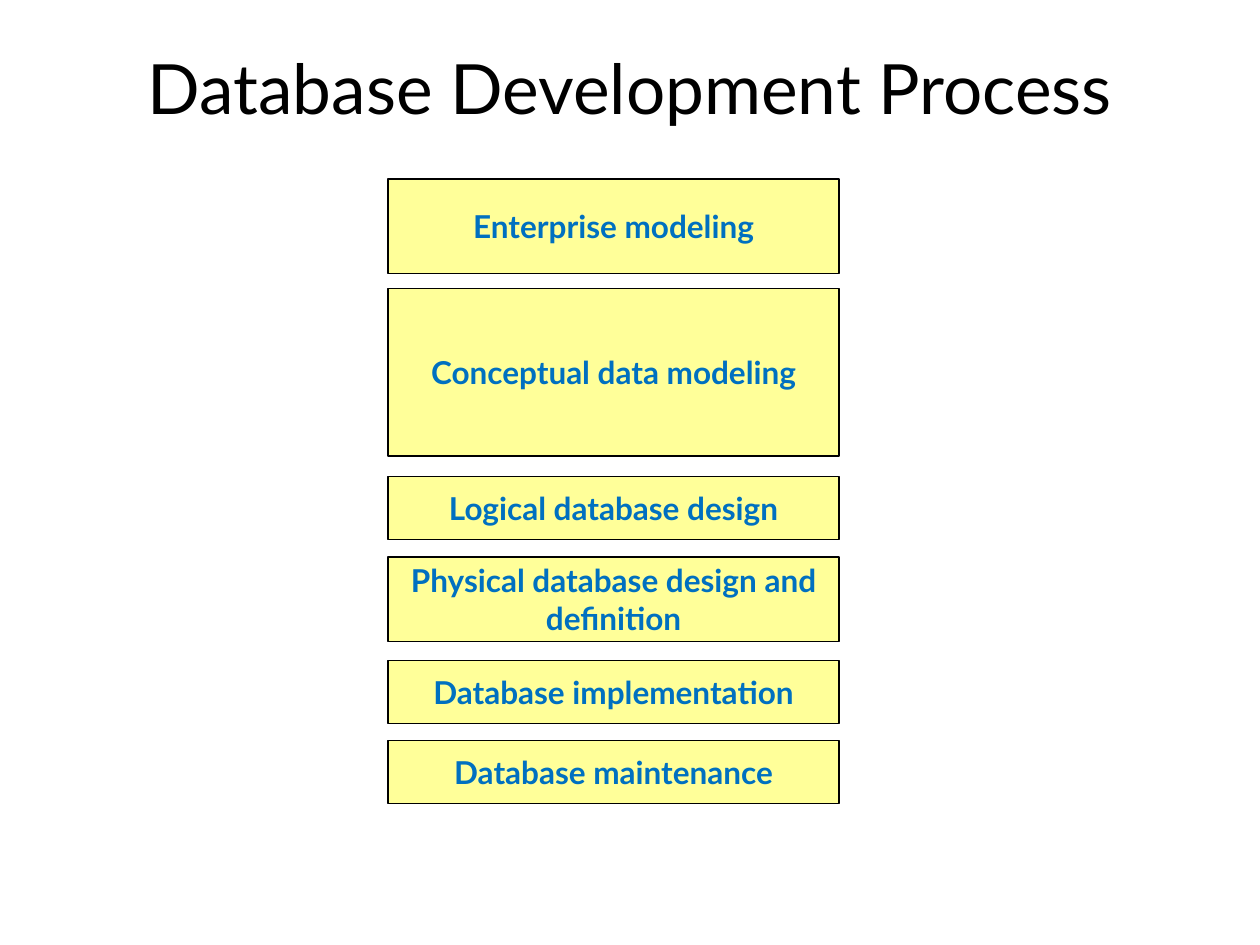
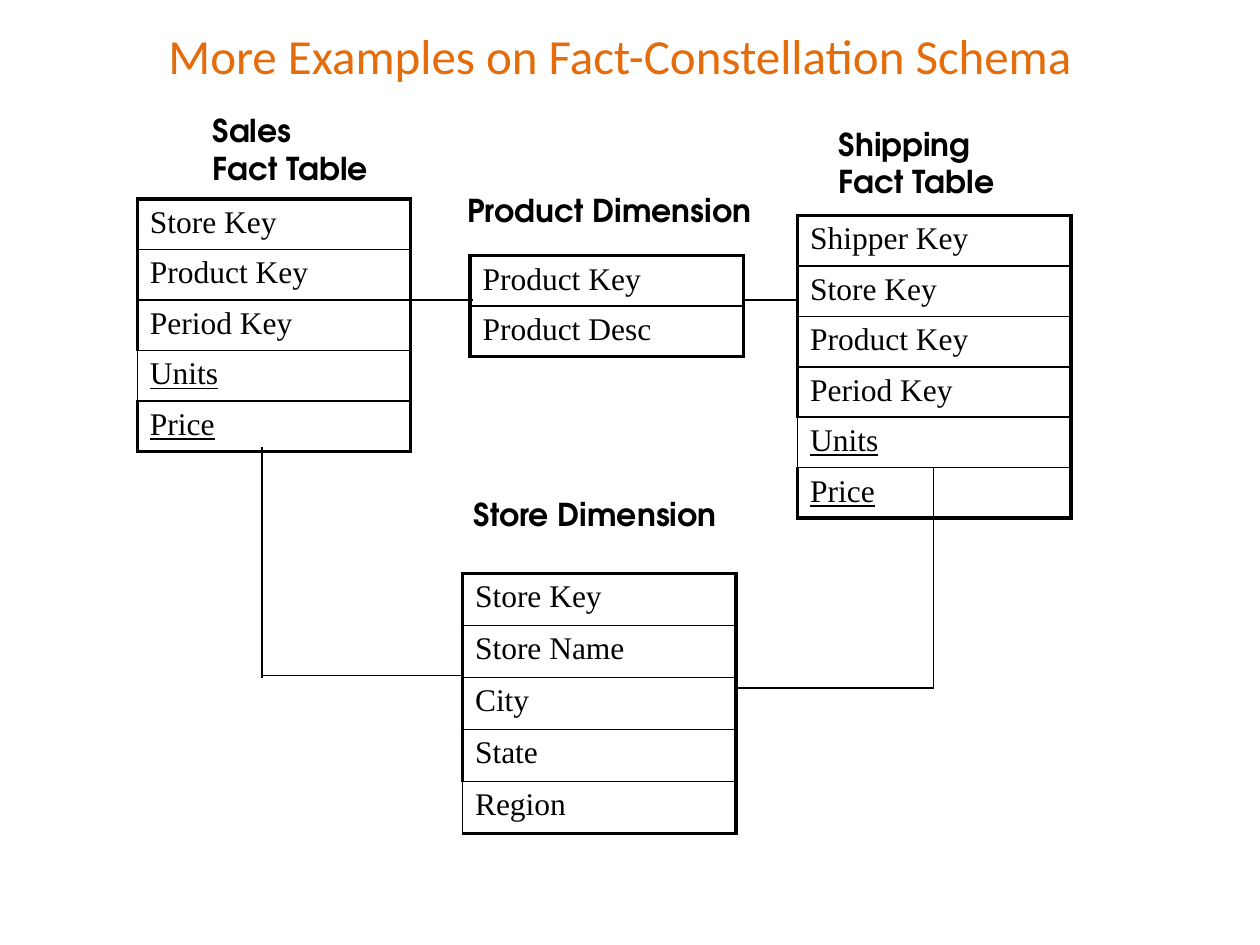
import pptx
import pptx.dml.color
import pptx.enum.shapes
import pptx.enum.text
import pptx.oxml
import pptx.oxml.ns
import pptx.util

Inches, Pt = pptx.util.Inches, pptx.util.Pt
RGBColor = pptx.dml.color.RGBColor
ALIGN = pptx.enum.text.PP_ALIGN
ANCHOR = pptx.enum.text.MSO_ANCHOR

BLACK = RGBColor(0x00, 0x00, 0x00)
YELLOW = RGBColor(0xFF, 0xFF, 0x99)
BLUE = RGBColor(0x00, 0x70, 0xC0)
ORANGE = RGBColor(0xE4, 0x6C, 0x0A)

THICK, THIN = 2.25, 1
TABLE_W = 2.17
STEP_X, STEP_W = 3.08, 3.58

STEPS = [  # text, top, height
    ("Enterprise modeling", 1.42, 0.75),
    ("Conceptual data modeling", 2.29, 1.33),
    ("Logical database design", 3.78, 0.5),
    ("Physical database design and definition", 4.42, 0.67),
    ("Database implementation", 5.24, 0.5),
    ("Database maintenance", 5.88, 0.5),
]
MEASURES = ("Units", "Price")
THIN_LEFT = ("Units", "Region")
KEYS = ["Store Key", "Product Key", "Period Key"]
TABLES = [  # left, top, row height, fields
    (1.09, 1.58, 0.383, [*KEYS, *MEASURES]),
    (3.67, 4.55, 0.413, ["Store Key", "Store Name", "City", "State", "Region"]),
    (3.73, 2.03, 0.4, ["Product Key", "Product Desc"]),
    (6.33, 1.71, 0.4, ["Shipper Key", *KEYS, *MEASURES]),
]
LABELS = [  # lines, left, top, width, height
    (["Store Dimension"], 3.66, 3.88, 2.26, 0.4),
    (["Product Dimension"], 3.61, 1.47, 2.46, 0.4),
    (["Sales", "Fact Table"], 1.59, 0.83, 1.44, 0.7),
    (["Shipping", "Fact Table"], 6.56, 0.94, 1.44, 0.7),
]
LINKS = [  # x1, y1, x2, y2
    (3.25, 2.38, 3.75, 2.38),
    (5.91, 2.38, 6.33, 2.38),
    (5.83, 5.46, 7.41, 5.46),
    (7.41, 3.71, 7.41, 5.46),
    (2.08, 3.55, 2.08, 5.38),
    (2.08, 5.36, 3.66, 5.36),
]


def add_run(p, text, font, size, color, bold=False, underline=False):
    r = p.add_run()
    r.text = text
    r.font.name, r.font.size = font, Pt(size)
    r.font.color.rgb = color
    r.font.bold, r.font.underline = bold, underline


def add_title(s, text, box, font, size, color):
    tf = s.shapes.add_textbox(*map(Inches, box)).text_frame
    tf.word_wrap = True
    tf.vertical_anchor = ANCHOR.MIDDLE
    p = tf.paragraphs[0]
    p.alignment = ALIGN.CENTER
    add_run(p, text, font, size, color)


def add_step(s, text, top, height):
    sp = s.shapes.add_shape(
        pptx.enum.shapes.MSO_SHAPE.RECTANGLE,
        Inches(STEP_X), Inches(top), Inches(STEP_W), Inches(height))
    sp.shadow.inherit = False
    sp.fill.solid()
    sp.fill.fore_color.rgb = YELLOW
    sp.line.color.rgb = BLACK
    sp.line.width = Pt(0.75)
    tf = sp.text_frame
    tf.word_wrap = True
    tf.vertical_anchor = ANCHOR.MIDDLE
    p = tf.paragraphs[0]
    p.alignment = ALIGN.CENTER
    add_run(p, text, "Lato", 18, BLUE, bold=True)


def add_label(s, lines, *box):
    tf = s.shapes.add_textbox(*map(Inches, box)).text_frame
    tf.word_wrap = len(lines) == 1
    for i, line in enumerate(lines):
        p = tf.add_paragraph() if i else tf.paragraphs[0]
        add_run(p, line, "TeX Gyre Adventor", 18, BLACK, bold=True)


def set_borders(cell, **widths):
    """Draw the L, R, T and B borders of a cell, with widths in points."""
    tcPr = cell._tc.get_or_add_tcPr()
    for side, width in widths.items():
        tcPr.append(pptx.oxml.parse_xml(
            f'<a:ln{side} {pptx.oxml.ns.nsdecls("a")} w="{Pt(width)}">'
            f'<a:solidFill><a:srgbClr val="{BLACK}"/></a:solidFill></a:ln{side}>'))


def add_field_table(s, left, top, row_h, fields):
    n = len(fields)
    table = s.shapes.add_table(n, 1, Inches(left), Inches(top),
                               Inches(TABLE_W), Inches(row_h * n)).table
    table.first_row = table.horz_banding = False
    for i, field in enumerate(fields):
        table.rows[i].height = Inches(row_h)
        cell = table.cell(i, 0)
        set_borders(cell,
                    L=THIN if field in THIN_LEFT else THICK,
                    R=THICK,
                    T=THICK if i == 0 else THIN,
                    B=THICK if i == n - 1 else THIN)
        cell.fill.background()
        add_run(cell.text_frame.paragraphs[0], field, "Times New Roman", 18,
                BLACK, underline=field in MEASURES)


def add_link(s, *ends):
    line = s.shapes.add_connector(
        pptx.enum.shapes.MSO_CONNECTOR.STRAIGHT, *map(Inches, ends))
    line.line.color.rgb = BLACK
    line.line.width = Pt(0.75)
    line._element.spPr.append(
        pptx.oxml.parse_xml(f'<a:effectLst {pptx.oxml.ns.nsdecls("a")}/>'))


def build_process(s):
    add_title(s, "Database Development Process", (0.5, 0.3, 9, 0.78),
              "Lato", 39.6, BLACK)
    for step in STEPS:
        add_step(s, *step)


def build_constellation(s):
    for table in TABLES:
        add_field_table(s, *table)
    for label in LABELS:
        add_label(s, *label)
    for link in LINKS:
        add_link(s, *link)
    add_title(s, "More Examples on Fact-Constellation Schema",
              (0.42, 0.17, 9, 0.53), "Calibri", 28, ORANGE)


def main():
    prs = pptx.Presentation()
    prs.slide_width, prs.slide_height = Inches(10), Inches(7.5)
    for build in (build_process, build_constellation):
        build(prs.slides.add_slide(prs.slide_layouts[6]))
    prs.save("out.pptx")


if __name__ == "__main__":
    main()
